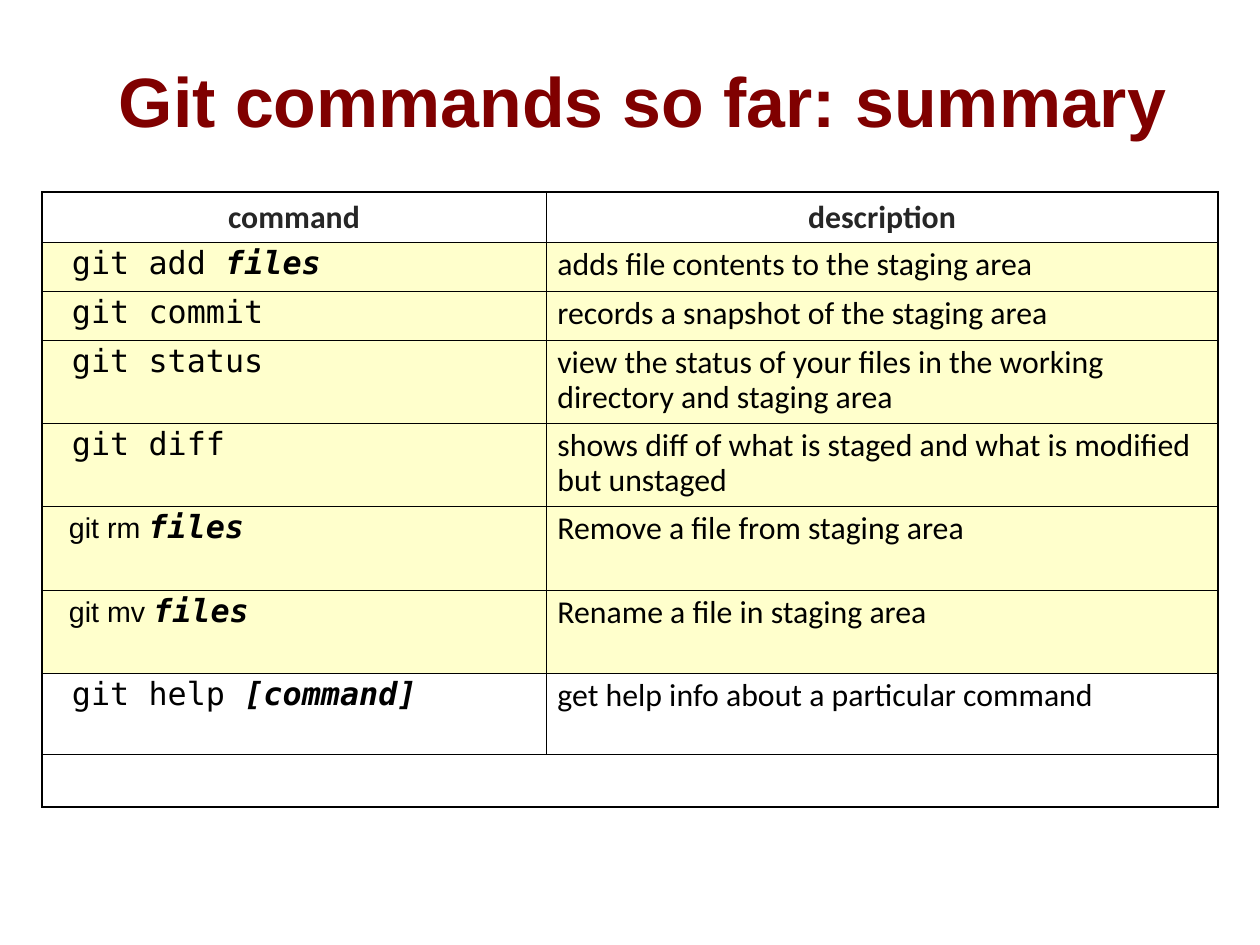
from lxml import etree
from pptx import Presentation
from pptx.dml.color import RGBColor
from pptx.enum.text import MSO_ANCHOR, PP_ALIGN
from pptx.oxml.ns import qn
from pptx.util import Emu, Pt

MIDDLE = MSO_ANCHOR.MIDDLE
CENTER = PP_ALIGN.CENTER
LEFT = PP_ALIGN.LEFT
PX = 8000  # EMU per px

COLORS = {"title": "800000", "head": "262626", "text": "000000",
          "line": "000000", "band": "FFFFCC"}
THIN, THICK = 0.45, 1.08
COLS = (504, 672)

TITLE = {"name": "Arial", "size": Pt(44), "bold": True}
HEAD = {"name": "Calibri", "size": Pt(20), "bold": True}
BODY = {"name": "Calibri", "size": Pt(20), "bold": False}
CODE = {"name": "DejaVu Sans Mono", "size": Pt(20), "bold": False}
PLAIN = {"name": "Arial", "size": Pt(18), "bold": False}
ARG = {**CODE, "bold": True, "italic": True}

# height, command, argument, command format, left inset, description, fill
ROWS = (
    (49, "git add ", "files", CODE, 30,
     "adds file contents to the staging area", "band"),
    (49, "git commit", "", CODE, 30,
     "records a snapshot of the staging area", "band"),
    (83, "git status", "", CODE, 30,
     "view the status of your files in the working directory and staging area",
     "band"),
    (83, "git diff", "", CODE, 30,
     "shows diff of what is staged and what is modified but unstaged", "band"),
    (84, "git rm ", "files", PLAIN, 27,
     "Remove a file from staging area", "band"),
    (83, "git mv ", "files", PLAIN, 27,
     "Rename a file in staging area", "band"),
    (81, "git help ", "[command]", CODE, 30,
     "get help info about a particular command", None),
)
HEAD_H, LAST_H = 50, 53


def px(n):
    return Emu(n * PX)


def write(para, text, form, color):
    """Add one run with the given font values."""
    run = para.add_run()
    run.text = text
    for key, value in form.items():
        setattr(run.font, key, value)
    run.font.color.rgb = RGBColor.from_string(COLORS[color])


def edge(cell, widths):
    """Draw the cell borders, given the width of each side in points."""
    props = cell._tc.get_or_add_tcPr()
    for side in "LRTB":
        line = etree.SubElement(props, qn(f"a:ln{side}"),
                                w=str(Pt(widths[side])))
        fill = etree.SubElement(line, qn("a:solidFill"))
        etree.SubElement(fill, qn("a:srgbClr"), val=COLORS["line"])


def add_title(slide, x, y, w, h):
    frame = slide.shapes.add_textbox(px(x), px(y), px(w), px(h)).text_frame
    frame.word_wrap = True
    frame.vertical_anchor = MIDDLE
    frame.margin_left = px(38)
    para = frame.paragraphs[0]
    para.alignment = CENTER
    write(para, "Git commands so far: summary", TITLE, "title")


def style(table):
    """Set borders and fills of all cells."""
    last = len(table.rows) - 1
    fills = [None, *(row[-1] for row in ROWS), None]
    for r, name in enumerate(fills):
        for c in range(2):
            cell = table.cell(r, c)
            edge(cell, {
                "L": THIN if c else THICK,
                "R": THICK if c or r == last else THIN,
                "T": THIN if r else THICK,
                "B": THICK if r == last else THIN,
            })
            if name:
                cell.fill.solid()
                cell.fill.fore_color.rgb = RGBColor.from_string(COLORS[name])
            else:
                cell.fill.background()


def add_grid(slide, x, y):
    heights = [HEAD_H, *(row[0] for row in ROWS), LAST_H]
    table = slide.shapes.add_table(
        len(heights), len(COLS), px(x), px(y),
        px(sum(COLS)), px(sum(heights))).table
    table.first_row = table.horz_banding = False
    for col, width in zip(table.columns, COLS):
        col.width = px(width)
    for row, height in zip(table.rows, heights):
        row.height = px(height)
    style(table)

    for c, label in enumerate(("command", "description")):
        para = table.cell(0, c).text_frame.paragraphs[0]
        para.alignment = CENTER
        write(para, label, HEAD, "head")

    for r, (_, cmd, arg, form, inset, note, _) in enumerate(ROWS, 1):
        table.cell(r, 0).margin_left = px(inset)
        left, right = (table.cell(r, c).text_frame.paragraphs[0]
                       for c in range(2))
        for para in (left, right):
            para.alignment = LEFT
            para.line_spacing = 0.9
        write(left, cmd, form, "text")
        if arg:
            write(left, arg, ARG, "text")
        write(right, note, BODY, "text")

    last = len(heights) - 1
    table.cell(last, 0).merge(table.cell(last, 1))


def main():
    deck = Presentation()
    deck.slide_width, deck.slide_height = px(1260), px(945)
    slide = deck.slides.add_slide(deck.slide_layouts[6])
    add_title(slide, 0, 21, 1260, 158)
    add_grid(slide, 42, 192)
    deck.save("out.pptx")


if __name__ == "__main__":
    main()
